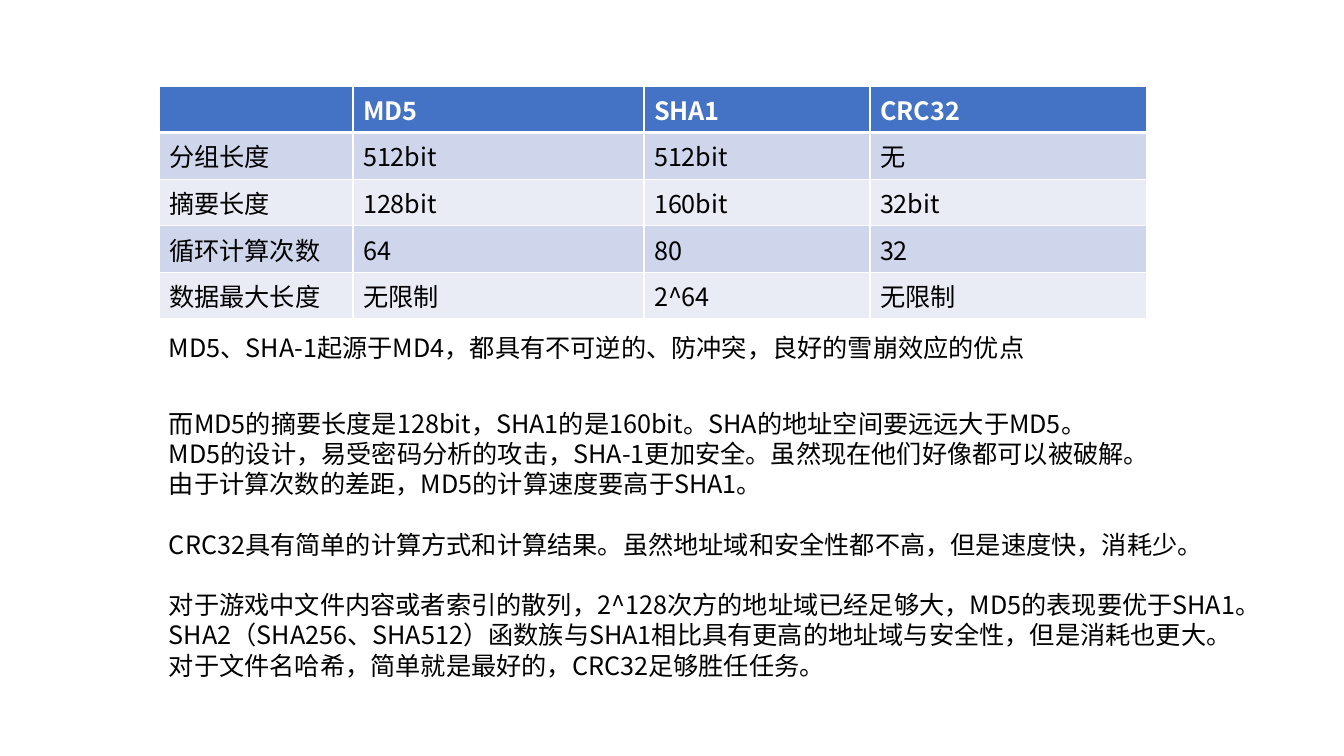
import dataclasses

import lxml.etree
import pptx
import pptx.dml.color
import pptx.enum.text
import pptx.oxml.ns
import pptx.util

SCALE = 914400 / 100.8  # EMU per pixel


@dataclasses.dataclass(frozen=True)
class Theme:
    """Colours, font and type sizes of the slide."""
    font: str = "Noto Sans CJK SC"
    size: int = 18
    line_pitch: float = 21.6
    text: str = "000000"
    white: str = "FFFFFF"
    header: str = "4472C4"
    bands: tuple = ("CFD5EA", "E9EBF5")
    thin: int = 1
    thick: int = 3


THEME = Theme()

COLUMN_WIDTHS = (194, 291, 226, 277)
HASH_ROWS = (
    ("", "MD5", "SHA1", "CRC32"),
    ("分组长度", "512bit", "512bit", "无"),
    ("摘要长度", "128bit", "160bit", "32bit"),
    ("循环计算次数", "64", "80", "32"),
    ("数据最大长度", "无限制", "2^64", "无限制"),
)
ORIGIN = (("MD5、SHA-1起源于MD4，都具有不可逆的、防冲突，良好的雪崩效应的优点",),)
COMPARISON = (
    (
        "而MD5的摘要长度是128bit，SHA1的是160bit。SHA的地址空间要远远大于MD5。",
        "MD5的设计，易受密码分析的攻击，SHA-1更加安全。虽然现在他们好像都可以被破解。",
        "由于计算次数的差距，MD5的计算速度要高于SHA1。",
    ),
    ("CRC32具有简单的计算方式和计算结果。虽然地址域和安全性都不高，但是速度快，消耗少。",),
    (
        "对于游戏中文件内容或者索引的散列，2^128次方的地址域已经足够大，MD5的表现要优于SHA1。",
        "SHA2（SHA256、SHA512）函数族与SHA1相比具有更高的地址域与安全性，但是消耗也更大。",
        "对于文件名哈希，简单就是最好的，CRC32足够胜任任务。",
    ),
)


def px(n):
    """Turn pixels into EMU."""
    return pptx.util.Emu(round(n * SCALE))


def rgb(value):
    """Return the colour for an RRGGBB string."""
    return pptx.dml.color.RGBColor.from_string(value)


def write(p, text, color=THEME.text, bold=False, space_before=0):
    """Put formatted text in a paragraph."""
    p.space_before = pptx.util.Pt(space_before)
    r = p.add_run()
    r.text = text
    r.font.size = pptx.util.Pt(THEME.size)
    r.font.name = THEME.font
    r.font.bold = bold
    r.font.color.rgb = rgb(color)
    ea = lxml.etree.SubElement(r.font._element, pptx.oxml.ns.qn("a:ea"))
    ea.set("typeface", THEME.font)


def set_borders(cell, bottom=THEME.thin, top=THEME.thin):
    """Draw white borders of the given point widths around a cell."""
    tcPr = cell._tc.get_or_add_tcPr()
    widths = {"L": THEME.thin, "R": THEME.thin, "T": top, "B": bottom}
    for side, width in widths.items():
        ln = lxml.etree.SubElement(tcPr, pptx.oxml.ns.qn("a:ln" + side))
        ln.set("w", str(pptx.util.Pt(width)))
        fill = lxml.etree.SubElement(ln, pptx.oxml.ns.qn("a:solidFill"))
        color = lxml.etree.SubElement(fill, pptx.oxml.ns.qn("a:srgbClr"))
        color.set("val", THEME.white)


def add_hash_table(s, x, y, w, h):
    """Place the table of hash properties in the box."""
    table = s.shapes.add_table(len(HASH_ROWS), len(COLUMN_WIDTHS),
                               px(x), px(y), px(w), px(h)).table
    for column, width in zip(table.columns, COLUMN_WIDTHS):
        column.width = px(w * width / sum(COLUMN_WIDTHS))
    for i, values in enumerate(HASH_ROWS):
        table.rows[i].height = px(h / len(HASH_ROWS))
        header = i == 0
        for j, value in enumerate(values):
            cell = table.cell(i, j)
            set_borders(cell, bottom=THEME.thick if header else THEME.thin,
                        top=THEME.thick if i == 1 else THEME.thin)
            cell.fill.solid()
            cell.fill.fore_color.rgb = rgb(
                THEME.header if header else THEME.bands[(i - 1) % 2])
            if value:
                write(cell.text_frame.paragraphs[0], value, bold=header,
                      color=THEME.white if header else THEME.text)


def add_notes_text(s, groups, x, y, w, h):
    """Place groups of paragraphs in the box, one line apart."""
    tf = s.shapes.add_textbox(px(x), px(y), px(w), px(h)).text_frame
    tf.word_wrap = True
    tf.auto_size = pptx.enum.text.MSO_AUTO_SIZE.SHAPE_TO_FIT_TEXT
    for g, lines in enumerate(groups):
        for i, line in enumerate(lines):
            first = g == 0 and i == 0
            p = tf.paragraphs[0] if first else tf.add_paragraph()
            write(p, line, space_before=THEME.line_pitch if g and i == 0 else 0)


def build_slide(prs):
    """Build the hash comparison slide."""
    s = prs.slides.add_slide(prs.slide_layouts[6])
    left = 159
    add_hash_table(s, left, 86, sum(COLUMN_WIDTHS), 205)
    add_notes_text(s, ORIGIN, left, 327, 887, 40)
    add_notes_text(s, COMPARISON, left, 403, 1121, 285)


prs = pptx.Presentation()
prs.slide_width, prs.slide_height = px(1344), px(756)
build_slide(prs)
prs.save("out.pptx")
